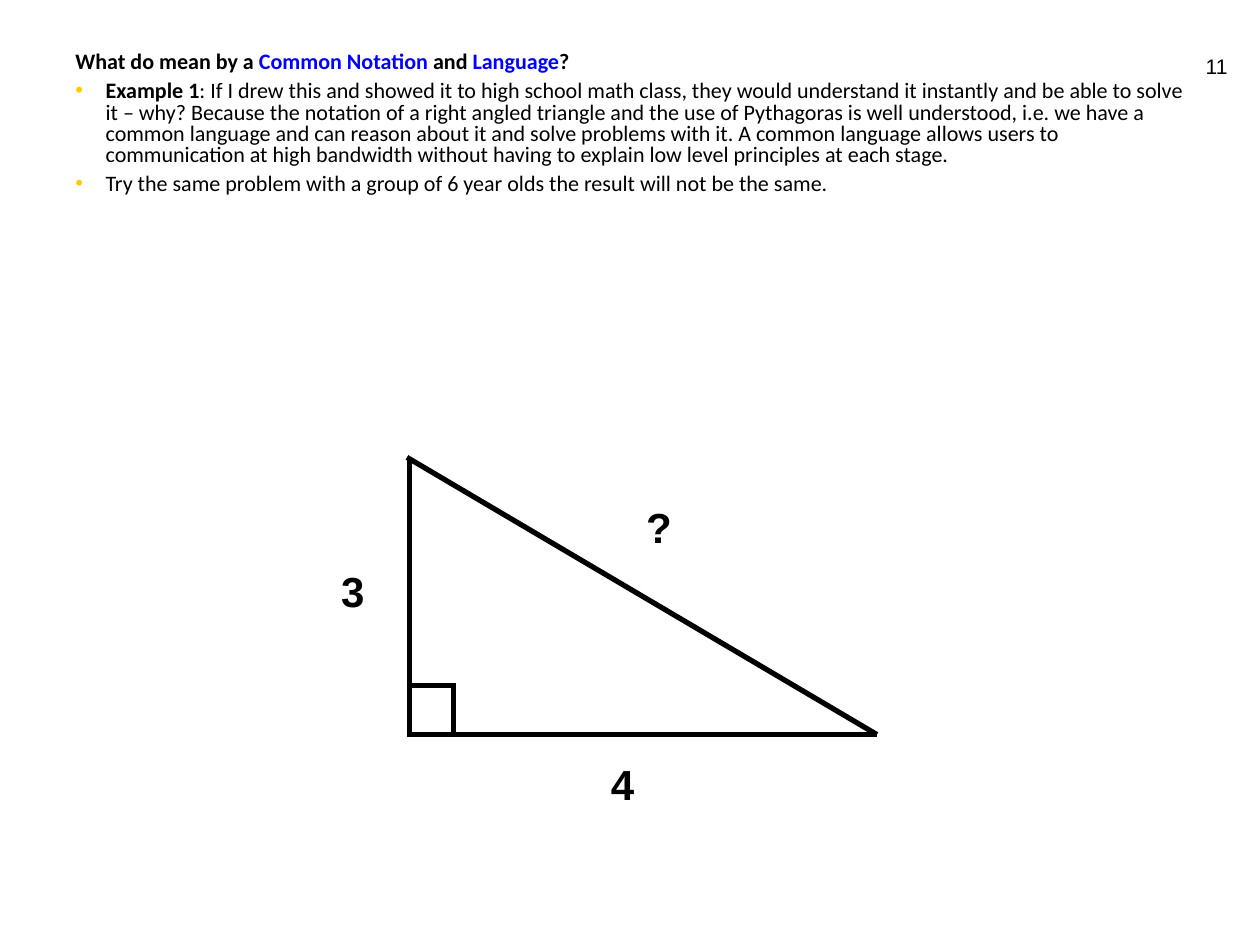
from dataclasses import dataclass

from lxml.etree import SubElement
from pptx import Presentation
from pptx.dml.color import RGBColor
from pptx.enum.shapes import MSO_CONNECTOR
from pptx.enum.text import MSO_ANCHOR, PP_ALIGN
from pptx.oxml.ns import qn
from pptx.util import Inches, Pt


@dataclass(frozen=True)
class Theme:
    ink: RGBColor = RGBColor(0, 0, 0)
    keyword: RGBColor = RGBColor(0, 0, 255)
    bullet: str = "FFCC00"
    body_font: str = "Calibri"
    label_font: str = "Arial"
    body_size: float = 12.6
    number_size: float = 12
    label_size: float = 24
    stroke: float = 3


THEME = Theme()
WIDTH, HEIGHT = Inches(10), Inches(7.5)
COLUMNS, ROWS = 100, 75


def column(count):
    return round(WIDTH * count / COLUMNS)


def row(count):
    return round(HEIGHT * count / ROWS)


def add_frame(slide, left, top, width, height):
    frame = slide.shapes.add_textbox(
        column(left), row(top), column(width), row(height)).text_frame
    frame.word_wrap = True
    return frame


def style(font, name, size, bold=False, color=THEME.ink):
    font.name = name
    font.size = Pt(size)
    font.bold = bold
    font.color.rgb = color


def add_label(slide, text, left, top):
    frame = add_frame(slide, left, top, 5.8, 5)
    frame.text = text
    style(frame.paragraphs[0].runs[0].font, THEME.label_font, THEME.label_size, True)


def add_page_number(slide, text):
    frame = add_frame(slide, 63.7, 1.5, 34.7, 5.2)
    frame.vertical_anchor = MSO_ANCHOR.BOTTOM
    frame.text = text
    number = frame.paragraphs[0]
    number.alignment = PP_ALIGN.RIGHT
    style(number.runs[0].font, THEME.label_font, THEME.number_size)


def add_bullet(paragraph):
    properties = paragraph._p.get_or_add_pPr()
    hanging = Inches(0.24)
    properties.set("marL", str(hanging))
    properties.set("indent", str(-hanging))
    color = SubElement(properties, qn("a:buClr"))
    SubElement(color, qn("a:srgbClr"), val=THEME.bullet)
    SubElement(properties, qn("a:buFont"), typeface=THEME.label_font)
    SubElement(properties, qn("a:buChar"), char="•")


def add_body(slide, paragraphs):
    frame = add_frame(slide, 5, 3.7, 90, 15.2)
    for index, pieces in enumerate(paragraphs):
        paragraph = frame.add_paragraph() if index else frame.paragraphs[0]
        if index:
            add_bullet(paragraph)
            paragraph.space_before = Pt(4.5)
        paragraph.line_spacing = 0.8
        for text, bold, color in pieces:
            run = paragraph.add_run()
            run.text = text
            style(run.font, THEME.body_font, THEME.body_size, bold, color)


def add_line(slide, start, end):
    line = slide.shapes.add_connector(
        MSO_CONNECTOR.STRAIGHT,
        column(start[0]), row(start[1]), column(end[0]), row(end[1]))
    line.line.color.rgb = THEME.ink
    line.line.width = Pt(THEME.stroke)
    SubElement(line._element.spPr, qn("a:effectLst"))


def add_triangle(slide):
    left, side, right = 32.3, 32.5, 69.6
    apex, base = 36.3, 58.3
    mark_right, mark_top = 36, 54.4
    add_line(slide, (side, apex), (side, base))
    add_line(slide, (left, base), (right, base))
    add_line(slide, (left, apex), (right, base))
    add_line(slide, (left, mark_top), (mark_right, mark_top))
    add_line(slide, (mark_right, mark_top - 0.2), (mark_right, base))
    add_label(slide, "3", 26.1, 44.4)
    add_label(slide, "4", 47.5, 59.7)
    add_label(slide, "?", 50.3, 39.3)


def main():
    deck = Presentation()
    deck.slide_width, deck.slide_height = WIDTH, HEIGHT
    slide = deck.slides.add_slide(deck.slide_layouts[6])
    add_page_number(slide, "11")
    add_body(slide, [
        [
            ("What do mean by a ", True, THEME.ink),
            ("Common Notation", True, THEME.keyword),
            (" and ", True, THEME.ink),
            ("Language", True, THEME.keyword),
            ("?", True, THEME.ink),
        ],
        [
            ("Example 1", True, THEME.ink),
            (": If I drew this and showed it to high school math class, they would "
             "understand it instantly and be able to solve it – why? Because the "
             "notation of a right angled triangle and the use of Pythagoras is well "
             "understood, i.e. we have a common language and can reason about it and "
             "solve problems with it. A common language allows users to communication "
             "at high bandwidth without having to explain low level principles at "
             "each stage.", False, THEME.ink),
        ],
        [
            ("Try the same problem with a group of 6 year olds the result will not "
             "be the same.", False, THEME.ink),
        ],
    ])
    add_triangle(slide)
    deck.save("out.pptx")


if __name__ == "__main__":
    main()
